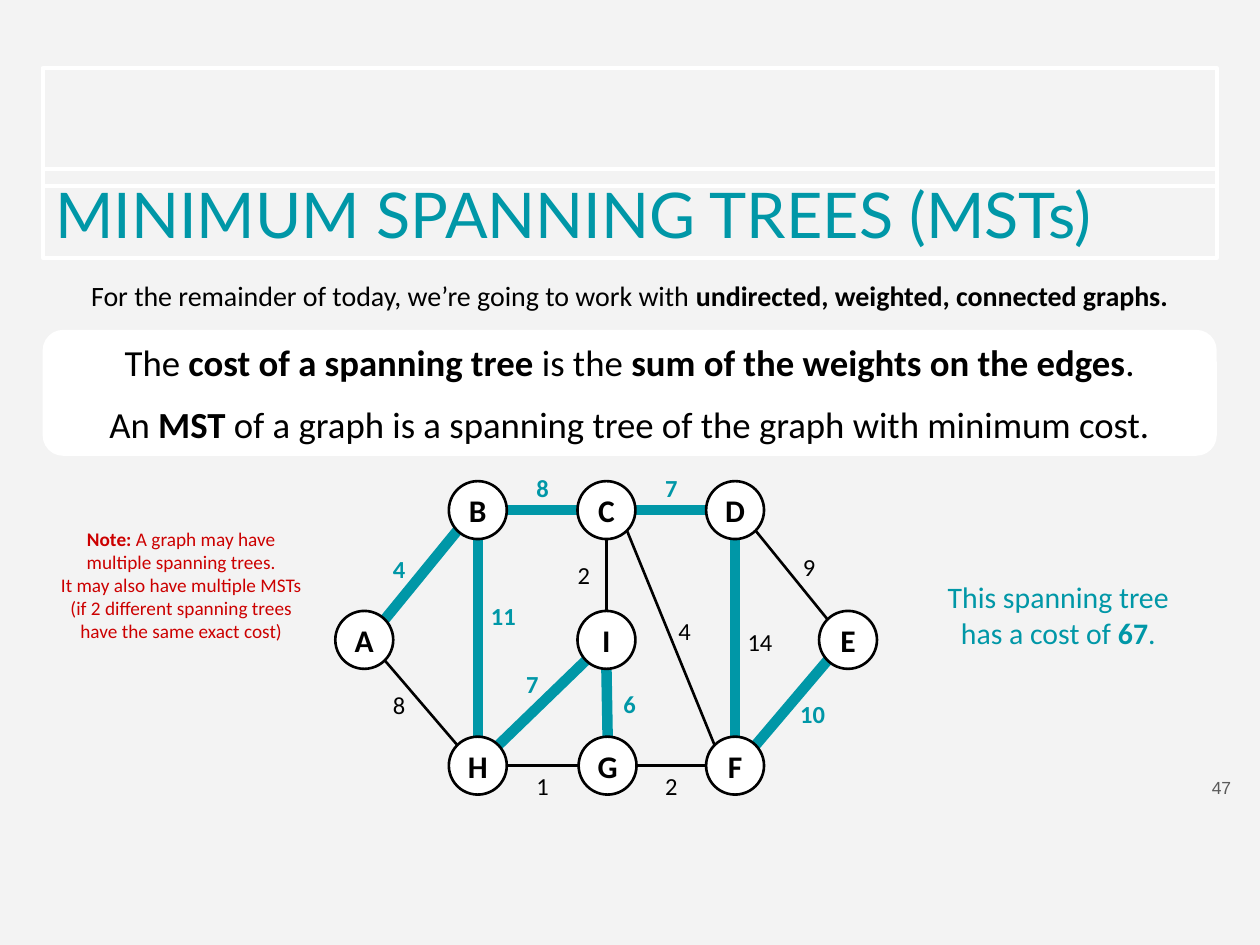
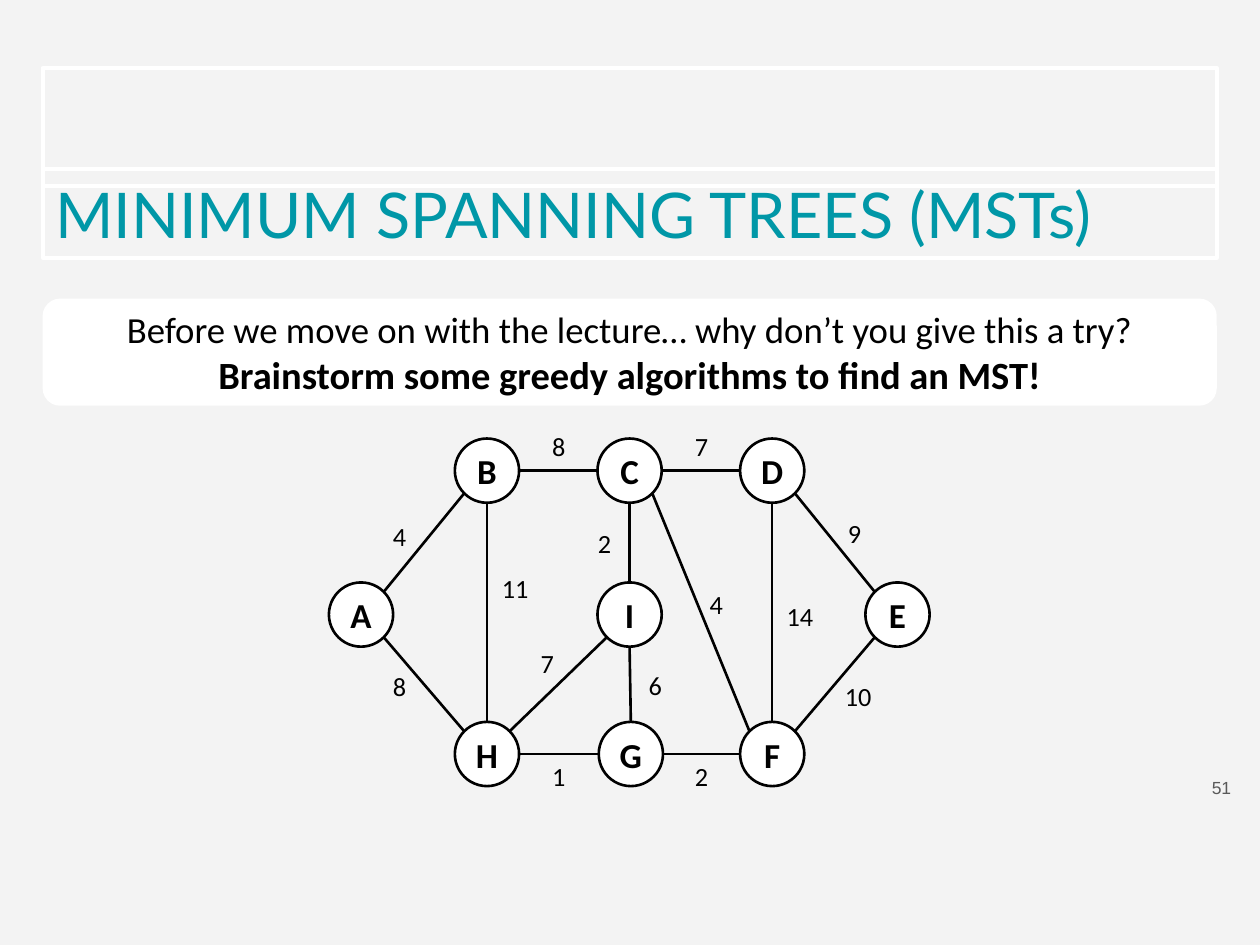
from lxml.etree import SubElement as Sub
from pptx import Presentation
from pptx.dml.color import RGBColor as Rgb
from pptx.enum.shapes import MSO_CONNECTOR as Link, MSO_SHAPE as Form
from pptx.enum.text import MSO_ANCHOR as Anchor, MSO_AUTO_SIZE as Fit, PP_ALIGN as Align
from pptx.oxml.ns import qn
from pptx.util import Cm, Pt

HUES = {"page": "F3F3F3", "white": "FFFFFF", "ink": "000000",
        "teal": "0097A7", "red": "CC0000", "grey": "595959"}
LEFT, WIDE = 0.86, 23.67  # shared column, in cm

# Graph geometry, measured in node diameters
SPAN = 9.35
NODES = {"A": (0, 2.24), "B": (1.96, 0), "C": (4.18, 0), "D": (6.4, 0),
         "E": (8.35, 2.24), "F": (6.4, 4.41), "G": (4.2, 4.41),
         "H": (1.96, 4.41), "I": (4.18, 2.24)}
# Edge: weight, centre of its label
EDGES = {"AB": ("4", 1.1, 1.51), "AH": ("8", 1.1, 3.86),
         "HG": ("1", 3.58, 5.25), "GF": ("2", 5.8, 5.25),
         "GI": ("6", 5.08, 3.84), "HI": ("7", 3.4, 3.49),
         "BH": ("11", 2.9, 2.32), "EF": ("10", 8.24, 4.01),
         "DF": ("14", 7.33, 2.77), "DE": ("9", 8.18, 1.47),
         "CF": ("4", 6.03, 2.58), "CD": ("7", 5.8, 0.12),
         "BC": ("8", 3.58, 0.12), "CI": ("2", 4.29, 1.62)}
TREE = {"AB", "BC", "CD", "BH", "HI", "GI", "DF", "EF"}
PLAIN = {"DF"}  # tree edge whose label stays black


def hue(name):
    return Rgb.from_string(HUES[name])


def say(shape, text, size=14, font="Calibri", color="ink", bold=False,
        align=Align.CENTER, gap=0, side=0.25):
    """Add one paragraph; asterisks switch bold on and off."""
    frame = shape.text_frame
    frame.word_wrap, frame.auto_size = True, Fit.NONE
    frame.vertical_anchor = Anchor.MIDDLE
    frame.margin_left = frame.margin_right = Cm(side)
    frame.margin_top = frame.margin_bottom = Cm(0.25)
    para = frame.paragraphs[0] if not frame.text else frame.add_paragraph()
    para.alignment = align
    if gap:
        para.space_before = Pt(gap)
    for i, part in enumerate(text.split("*")):
        if part:
            run = para.add_run()
            run.text = part
            run.font.name, run.font.size = font, Pt(size)
            run.font.bold = bold or i % 2 == 1
            run.font.color.rgb = hue(color)


def label(slide, box, text, **style):
    shape = slide.shapes.add_textbox(*map(Cm, box))
    say(shape, text, **style)


def outline(shape, color, width):
    shape.line.color.rgb = hue(color)
    shape.line.width = Pt(width)


def form(slide, kind, box, fill=None, line=None, width=1.5, round=None):
    shape = slide.shapes.add_shape(kind, *map(Cm, box))
    shape.shadow.inherit = False
    if fill:
        shape.fill.solid()
        shape.fill.fore_color.rgb = hue(fill)
    else:
        shape.fill.background()
    if line:
        outline(shape, line, width)
    else:
        shape.line.fill.background()
    if round:
        shape.adjustments[0] = round
    return shape


def panel(slide, top, high):
    return form(slide, Form.ROUNDED_RECTANGLE, (LEFT, top, WIDE, high),
                fill="white", round=0.163)


def aside(slide, left, top):
    return form(slide, Form.ROUNDED_RECTANGLE, (left, top, 5.59, 2.79), round=0.051)


def base(deck, number):
    """Frame, title and page number."""
    slide = deck.slides.add_slide(deck.slide_layouts[5])
    form(slide, Form.RECTANGLE, (LEFT, 1.37, WIDE, 2.39), line="white", width=2.25)
    title = slide.shapes.title
    title.left, title.top, title.width, title.height = map(Cm, (LEFT, 3.4, WIDE, 1.8))
    outline(title, "white", 2.25)
    say(title, "MINIMUM SPANNING TREES (MSTs)", size=36, font="Lato",
        color="teal", align=Align.LEFT)
    label(slide, (23.55, 15.34, 1.52, 1.09), number, size=10, font="Arial",
          color="grey", align=Align.RIGHT)
    return slide


def step(gap):
    """Direction of a gap: -1, 0 or 1."""
    return 0 if abs(gap) < 0.1 else (1 if gap > 0 else -1)


def rim(node, goal):
    """Point on a node's rim, at the nearest eighth turn to the goal."""
    (x, y), (u, v) = NODES[node], NODES[goal]
    dx, dy = step(u - x), step(v - y)
    reach = 0.5 if 0 in (dx, dy) else 0.354
    return x + 0.5 + dx * reach, y + 0.5 + dy * reach


def graph(slide, left, top, wide, sizes, tree=frozenset()):
    unit = wide / SPAN
    letter, digit = sizes

    def place(x, y):
        return left + x * unit, top + y * unit

    # Weights
    for edge, (weight, x, y) in EDGES.items():
        lit = edge in tree - PLAIN
        w, h = (0.88 if len(weight) > 1 else 0.8), 0.8
        label(slide, (*place(x - w / 2, y - h / 2), w * unit, h * unit), weight,
              size=digit, color="teal" if lit else "ink", bold=lit, side=0)
    # Edges
    for a, b in EDGES:
        ends = place(*rim(a, b)) + place(*rim(b, a))
        line = slide.shapes.add_connector(Link.STRAIGHT, *map(Cm, ends))
        lit = a + b in tree
        outline(line, "teal" if lit else "ink", 6 if lit else 1.5)
        Sub(line._element.spPr, qn("a:effectLst"))
    # Nodes
    for name, spot in NODES.items():
        node = form(slide, Form.OVAL, (*place(*spot), unit, unit),
                    fill="white", line="ink")
        say(node, name, size=letter, bold=True, side=0)


def define(deck):
    slide = base(deck, "47")
    label(slide, (LEFT, 5.11, WIDE, 1.68), "For the remainder of today, we’re going to "
          "work with *undirected, weighted, connected graphs.*", size=16)
    card = panel(slide, 6.65, 2.54)
    say(card, "The *cost of a spanning tree* is the "
        "*sum of the weights on the edges*.", size=21)
    say(card, "An *MST* of a graph is a spanning tree of the graph "
        "with minimum cost.", size=21, gap=10)
    # Side remarks
    note = aside(slide, LEFT, 10.39)
    for text in ("*Note: *A graph may have multiple spanning trees.",
                 "It may also have multiple MSTs (if 2 different spanning trees "
                 "have the same exact cost)"):
        say(note, text, size=11, color="red")
    say(aside(slide, 18.54, 11), "This spanning tree has a cost of *67*.",
        size=17, color="teal")
    graph(slide, 6.76, 9.7, 10.92, (18, 14), TREE)


def invite(deck):
    slide = base(deck, "51")
    card = panel(slide, 6.02, 2.16)
    say(card, "Before we move on with the lecture… why don’t you give this a try?", size=21)
    say(card, "Brainstorm some greedy algorithms to find an MST!", size=22, bold=True)
    graph(slide, 6.63, 8.84, 12.11, (20, 15))


def main():
    deck = Presentation()
    deck.slide_width, deck.slide_height = Cm(25.4), Cm(19.05)
    back = deck.slide_master.background.fill
    back.solid()
    back.fore_color.rgb = hue("page")
    define(deck)
    invite(deck)
    deck.save("out.pptx")


if __name__ == "__main__":
    main()
